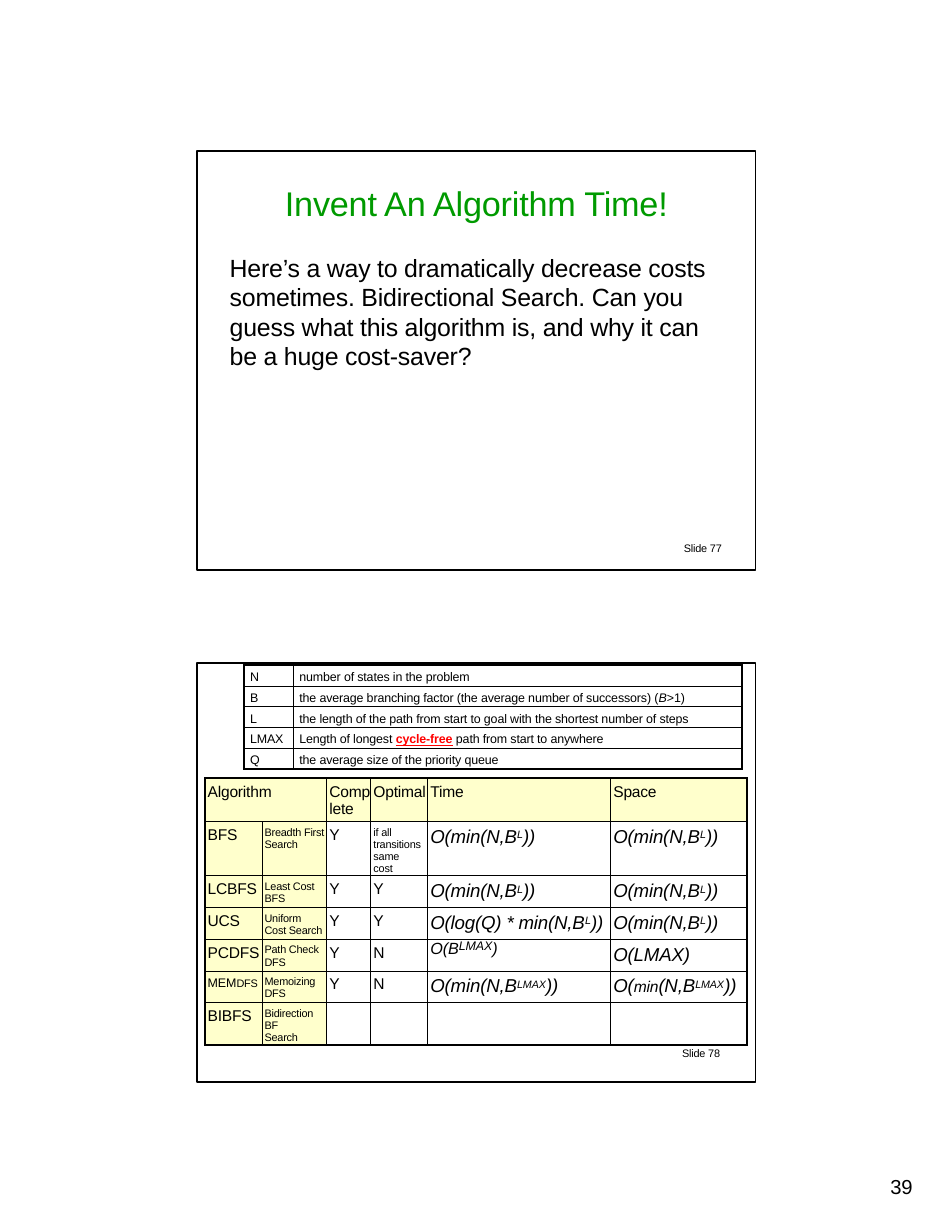
from dataclasses import dataclass
from typing import Optional

from lxml.etree import SubElement
from pptx import Presentation
from pptx.dml.color import RGBColor
from pptx.enum.shapes import MSO_SHAPE as Shape
from pptx.enum.text import MSO_ANCHOR as Anchor, MSO_AUTO_SIZE as AutoSize, PP_ALIGN as Align
from pptx.oxml.ns import qn
from pptx.util import Cm, Pt

BLACK = RGBColor(0x00, 0x00, 0x00)
GREEN = RGBColor(0x00, 0x9A, 0x00)
RED = RGBColor(0xFF, 0x00, 0x00)
CREAM = RGBColor(0xFF, 0xFF, 0xCC)
FONT = "Arial"
FRAME_WIDTH, FRAME_HEIGHT = Cm(12.67), Cm(9.5)
THIN, THICK = Pt(0.5), Pt(1.5)


@dataclass
class Span:
    """A stretch of text that may differ from its paragraph."""
    text: str
    size: Optional[float] = None
    baseline: int = 0
    italic: bool = False
    strong: bool = False


def bound(exponent):
    """Return the spans of O(min(N,B^exponent))."""
    return [Span("O(min(N,B"), Span(exponent, baseline=24), Span("))")]


LEGEND = [
    ("N", "number of states in the problem"),
    ("B", [Span("the average branching factor (the average number of successors) ("),
           Span("B", italic=True), Span(">1)")]),
    ("L", "the length of the path from start to goal with the shortest number of steps"),
    ("LMAX", [Span("Length of longest "), Span("cycle-free", strong=True),
              Span(" path from start to anywhere")]),
    ("Q", "the average size of the priority queue"),
]
ALGORITHMS = [
    ("Algorithm", "", "Comp\vlete", "Optimal", "Time", "Space"),
    ("BFS", "Breadth First\vSearch", "Y", "if all\vtransitions\vsame\vcost",
     bound("L"), bound("L")),
    ("LCBFS", "Least Cost\vBFS", "Y", "Y", bound("L"), bound("L")),
    ("UCS", "Uniform\vCost Search", "Y", "Y",
     [Span("O(log(Q) * min(N,B"), Span("L", baseline=24), Span("))")], bound("L")),
    ("PCDFS", "Path Check\vDFS", "Y", "N",
     [Span("O(B", 18, -16), Span("LMAX", 8), Span(")", 18, -16)], "O(LMAX)"),
    ([Span("MEM", 8), Span("DFS", 7)], "Memoizing\vDFS", "Y", "N", bound("LMAX"),
     [Span("O("), Span("min", 10), Span("(N,B"), Span("LMAX", baseline=24), Span("))")]),
    ("BIBFS", "Bidirection\vBF\vSearch", "", "", "", ""),
]


def write(paragraph, content, size, color=BLACK, italic=False):
    """Fill a paragraph with a string or spans and set its font."""
    if isinstance(content, str):
        paragraph.text = content
    else:
        for span in content:
            run = paragraph.add_run()
            run.text = span.text
            if span.size:
                run.font.size = Pt(span.size)
            if span.italic:
                run.font.italic = True
            if span.strong:
                run.font.bold = run.font.underline = True
                run.font.color.rgb = RED
            if span.baseline:
                run._r.get_or_add_rPr().set("baseline", str(span.baseline * 1000))
    for run in paragraph.runs:
        run._r.get_or_add_rPr().set("spc", "-10")
    font = paragraph.font
    font.name, font.size, font.italic = FONT, Pt(size), italic
    font.color.rgb = color


def prepare(shape, left, top, width, height, anchor):
    """Move a text shape, clear its margins and return its first paragraph."""
    shape.left, shape.top, shape.width, shape.height = left, top, width, height
    frame = shape.text_frame
    frame.margin_left = frame.margin_right = frame.margin_top = frame.margin_bottom = 0
    frame.word_wrap = True
    frame.auto_size = AutoSize.NONE
    frame.vertical_anchor = anchor
    return frame.paragraphs[0]


def add_label(slide, text, size, left, top, width, height):
    """Add a small right-aligned text box."""
    box = slide.shapes.add_textbox(left, top, width, height)
    paragraph = prepare(box, left, top, width, height, Anchor.MIDDLE)
    paragraph.alignment = Align.RIGHT
    write(paragraph, text, size)


def add_frame(slide, left, top):
    """Outline one handout frame."""
    shape = slide.shapes.add_shape(Shape.RECTANGLE, left, top, FRAME_WIDTH, FRAME_HEIGHT)
    shape.shadow.inherit = False
    shape.fill.background()
    shape.line.color.rgb = BLACK
    shape.line.width = Pt(1)


def style_cell(cell, edges, fill, margin):
    """Set borders, fill and margins of a table cell."""
    properties = cell._tc.get_or_add_tcPr()
    for side, is_outer in zip("LRTB", edges):
        line = SubElement(properties, qn(f"a:ln{side}"), w=str(THICK if is_outer else THIN))
        SubElement(SubElement(line, qn("a:solidFill")), qn("a:srgbClr"), val=str(BLACK))
    if fill is None:
        cell.fill.background()
    else:
        cell.fill.solid()
        cell.fill.fore_color.rgb = fill
    cell.margin_left, cell.margin_right = margin, 0
    cell.margin_top, cell.margin_bottom = Cm(0.11), 0


def add_grid(slide, left, top, widths, heights, margin, is_shaded):
    """Add a table with a thick outer border and return it."""
    shape = slide.shapes.add_table(len(heights), len(widths), left, top, sum(widths), sum(heights))
    table = shape.table
    table.first_row = table.horz_banding = False
    for column, width in zip(table.columns, widths):
        column.width = width
    last_row, last_column = len(heights) - 1, len(widths) - 1
    for i, height in enumerate(heights):
        table.rows[i].height = height
        for j in range(len(widths)):
            edges = (j == 0, j == last_column, i == 0, i == last_row)
            style_cell(table.cell(i, j), edges, CREAM if is_shaded(i, j) else None, margin)
    return table


def add_legend(slide, left, top):
    """Add the table that explains the symbols."""
    table = add_grid(slide, left, top, [Cm(1.12), Cm(10.16)], [Cm(0.47)] * len(LEGEND),
                     Cm(0.13), lambda i, j: False)
    for i, row in enumerate(LEGEND):
        for j, content in enumerate(row):
            write(table.cell(i, j).text_frame.paragraphs[0], content, 8)


def add_algorithms(slide, left, top):
    """Add the table that compares the search algorithms."""
    widths = [Cm(w) for w in (1.29, 1.47, 1, 1.29, 4.15, 3.08)]
    heights = [Cm(h) for h in (0.98, 1.23, 0.72, 0.72, 0.72, 0.72, 0.95)]
    table = add_grid(slide, left, top, widths, heights, Cm(0.06), lambda i, j: i == 0 or j < 2)
    table.cell(0, 0).merge(table.cell(0, 1))
    for i, row in enumerate(ALGORITHMS):
        for j, content in enumerate(row):
            is_formula = i > 0 and j > 3
            is_small = i > 0 and (j == 1 or "\v" in content)
            size = 12 if is_formula else 7 if is_small else 10
            paragraph = table.cell(i, j).text_frame.paragraphs[0]
            write(paragraph, content, size, italic=is_formula)
    lowered = table.cell(4, 4)
    lowered.margin_top = 0
    lowered.text_frame.paragraphs[0].line_spacing = Pt(12.3)


def build_question(slide, left, top):
    """Place the upper frame with its title and question."""
    add_frame(slide, left, top)
    title = prepare(slide.shapes.title, left, top + Cm(0.6), FRAME_WIDTH, Cm(1.15), Anchor.MIDDLE)
    title.alignment = Align.CENTER
    write(title, "Invent An Algorithm Time!", 22, GREEN)
    body = prepare(slide.placeholders[1], left + Cm(0.74), top + Cm(2.3),
                   Cm(11.2), Cm(5), Anchor.TOP)
    properties = body._p.get_or_add_pPr()
    properties.set("marL", "0")
    properties.set("indent", "0")
    SubElement(properties, qn("a:buNone"))
    body.space_before = Pt(0)
    body.line_spacing = Pt(19)
    write(body, "Here’s a way to dramatically decrease costs sometimes. Bidirectional Search. "
                "Can you guess what this algorithm is, and why it can be a huge cost-saver?", 16)
    add_label(slide, "Slide 77", 7, left + Cm(10.4), top + Cm(8.8), Cm(1.5), Cm(0.4))


def build_comparison(slide, left, top):
    """Place the lower frame with its two tables."""
    add_legend(slide, left + Cm(1.07), top + Cm(0.05))
    add_algorithms(slide, left + Cm(0.18), top + Cm(2.61))
    add_frame(slide, left, top)
    add_label(slide, "Slide 78", 7, left + Cm(10.36), top + Cm(8.64), Cm(1.5), Cm(0.4))


def main():
    """Build the handout page and save it."""
    presentation = Presentation()
    presentation.slide_width, presentation.slide_height = Cm(21.59), Cm(27.94)
    slide = presentation.slides.add_slide(presentation.slide_layouts[1])
    build_question(slide, Cm(4.47), Cm(3.43))
    build_comparison(slide, Cm(4.47), Cm(15.04))
    add_label(slide, "39", 13, Cm(20), Cm(26.6), Cm(0.7), Cm(0.6))
    presentation.save("out.pptx")


if __name__ == "__main__":
    main()
